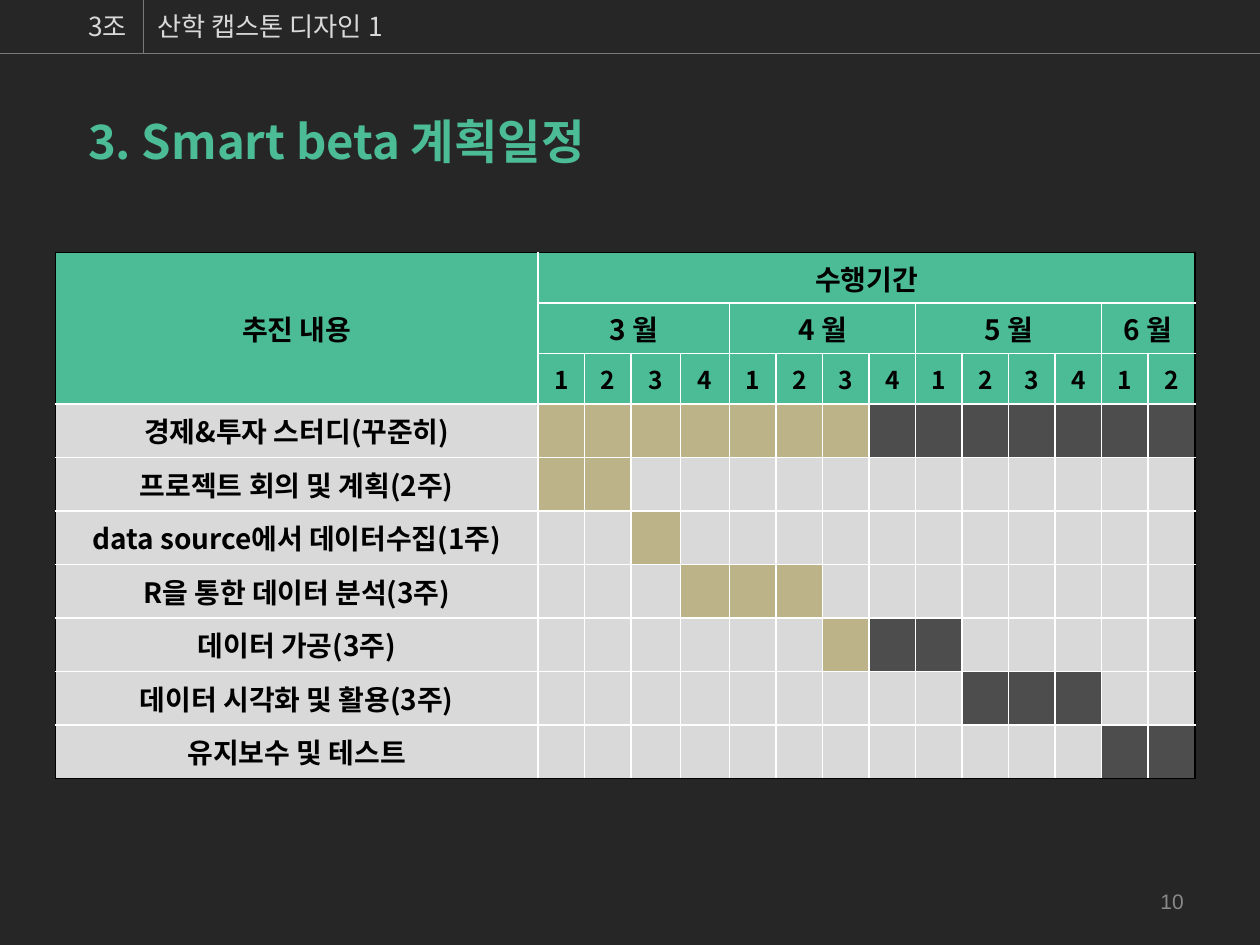
from dataclasses import dataclass

from lxml.etree import SubElement
from pptx import Presentation
from pptx.dml.color import RGBColor
from pptx.enum.shapes import MSO_CONNECTOR as Connector
from pptx.enum.text import MSO_ANCHOR as Anchor, PP_ALIGN as Align
from pptx.oxml import parse_xml
from pptx.oxml.ns import nsdecls, qn
from pptx.util import Pt


@dataclass(frozen=True)
class Theme:
    background: str = "262626"
    accent: str = "4CBC97"
    header_text: str = "D9D9D9"
    rule: str = "797979"
    page_number: str = "898989"
    ink: str = "000000"
    grid: str = "FFFFFF"
    idle: str = "D9D9D9"
    done: str = "BCB488"
    planned: str = "4D4D4D"
    font: str = "Noto Sans CJK KR"
    number_font: str = "Arial"
    title_size: float = 27
    label_size: float = 16
    header_size: float = 15
    week_size: float = 14
    number_size: float = 12


MONTHS = [("3 월", 4), ("4 월", 4), ("5 월", 4), ("6 월", 2)]
WEEK_COUNT = sum(weeks for _, weeks in MONTHS)
HEADER_ROWS = 3
FIRST_PLANNED_WEEK = 8
# Task, first week, last week
TASKS = [
    ("경제&투자 스터디(꾸준히)", 1, 14),
    ("프로젝트 회의 및 계획(2주)", 1, 2),
    ("data source에서 데이터수집(1주)", 3, 3),
    ("R을 통한 데이터 분석(3주)", 4, 6),
    ("데이터 가공(3주)", 7, 9),
    ("데이터 시각화 및 활용(3주)", 10, 12),
    ("유지보수 및 테스트", 13, 14),
]
TASK_WIDTH, WEEK_WIDTH, WIDE_WEEK_WIDTH = 275.8, 26.6, 28.1
WIDE_WEEKS = (3, 4)
HEADER_HEIGHT, TASK_HEIGHT = 28.8, 30.6


class SlideBuilder:
    def __init__(self, slide, theme):
        self.slide = slide
        self.theme = theme
        fill = slide.background.fill
        fill.solid()
        fill.fore_color.rgb = RGBColor.from_string(theme.background)

    def run(self, paragraph, text, size, color, bold=False, font=None):
        run = paragraph.add_run()
        run.text = text
        run.font.size = Pt(size)
        run.font.bold = bold
        run.font.color.rgb = RGBColor.from_string(color)
        run.font.name = font or self.theme.font
        SubElement(run.font._element, qn("a:ea"), typeface=run.font.name)

    def text(self, box, text, size, color, align=Align.LEFT,
             anchor=Anchor.TOP, **style):
        frame = self.slide.shapes.add_textbox(*map(Pt, box)).text_frame
        frame.word_wrap = True
        frame.vertical_anchor = anchor
        paragraph = frame.paragraphs[0]
        paragraph.alignment = align
        self.run(paragraph, text, size, color, **style)

    def line(self, x1, y1, x2, y2):
        line = self.slide.shapes.add_connector(
            Connector.STRAIGHT, *map(Pt, (x1, y1, x2, y2)))
        line.line.width = Pt(0.75)
        line.line.color.rgb = RGBColor.from_string(self.theme.rule)
        SubElement(line._element.spPr, qn("a:effectLst"))

    def cell(self, cell, fill, text="", size=None):
        cell.fill.solid()
        cell.fill.fore_color.rgb = RGBColor.from_string(fill)
        cell.vertical_anchor = Anchor.MIDDLE
        cell.margin_left = cell.margin_right = Pt(1.4)
        cell.margin_top = cell.margin_bottom = Pt(1.4)
        if text:
            paragraph = cell.text_frame.paragraphs[0]
            paragraph.alignment = Align.CENTER
            self.run(paragraph, text, size or self.theme.label_size,
                     self.theme.ink, bold=True)

    def borders(self, table):
        """Draw light grid lines inside the table and a dark outer frame."""
        row_count, column_count = len(table.rows), len(table.columns)
        for row in range(row_count):
            for column in range(column_count):
                cell = table.cell(row, column)
                properties = cell._tc.get_or_add_tcPr()
                right = column + (cell.span_width if cell.is_merge_origin else 1)
                on_frame = {"L": column == 0, "R": right == column_count,
                            "T": row == 0, "B": row == row_count - 1}
                for index, (side, outer) in enumerate(on_frame.items()):
                    color = self.theme.ink if outer else self.theme.grid
                    properties.insert(index, parse_xml(
                        f'<a:ln{side} {nsdecls("a")} w="{Pt(1)}"><a:solidFill>'
                        f'<a:srgbClr val="{color}"/></a:solidFill></a:ln{side}>'))

    def schedule(self, left, top):
        theme = self.theme
        widths = [TASK_WIDTH] + [
            WIDE_WEEK_WIDTH if week in WIDE_WEEKS else WEEK_WIDTH
            for week in range(1, WEEK_COUNT + 1)]
        heights = [HEADER_HEIGHT] * HEADER_ROWS + [TASK_HEIGHT] * len(TASKS)
        table = self.slide.shapes.add_table(
            len(heights), len(widths), Pt(left), Pt(top),
            Pt(sum(widths)), Pt(sum(heights))).table
        table.first_row = table.horz_banding = False
        for column, width in zip(table.columns, widths):
            column.width = Pt(width)
        for row, height in zip(table.rows, heights):
            row.height = Pt(height)

        for row in range(HEADER_ROWS):
            for column in range(len(widths)):
                self.cell(table.cell(row, column), theme.accent)
        table.cell(0, 0).merge(table.cell(HEADER_ROWS - 1, 0))
        self.cell(table.cell(0, 0), theme.accent, "추진 내용")
        table.cell(0, 1).merge(table.cell(0, WEEK_COUNT))
        self.cell(table.cell(0, 1), theme.accent, "수행기간")
        start = 1
        for month, weeks in MONTHS:
            table.cell(1, start).merge(table.cell(1, start + weeks - 1))
            self.cell(table.cell(1, start), theme.accent, month)
            for week in range(weeks):
                self.cell(table.cell(2, start + week), theme.accent,
                          str(week + 1), theme.week_size)
            start += weeks

        for row, (task, first, last) in enumerate(TASKS, HEADER_ROWS):
            self.cell(table.cell(row, 0), theme.idle, task)
            for week in range(1, WEEK_COUNT + 1):
                if not first <= week <= last:
                    fill = theme.idle
                elif week < FIRST_PLANNED_WEEK:
                    fill = theme.done
                else:
                    fill = theme.planned
                self.cell(table.cell(row, week), fill)
        self.borders(table)


def main():
    presentation = Presentation()
    presentation.slide_width, presentation.slide_height = Pt(720), Pt(540)
    theme = Theme()
    builder = SlideBuilder(
        presentation.slides.add_slide(presentation.slide_layouts[6]), theme)

    builder.schedule(31.7, 144.4)
    builder.line(0, 30.6, 720, 30.6)
    builder.line(82, 0, 82, 30.6)
    builder.text((43.2, 2.2, 51, 25.2), "3조",
                 theme.header_size, theme.header_text)
    builder.text((82.8, 2.6, 272, 24.5), "산학 캡스톤 디자인 1",
                 theme.header_size, theme.header_text)
    builder.text((43.2, 60.5, 430.6, 39.6), "3. Smart beta 계획일정",
                 theme.title_size, theme.accent, bold=True)
    builder.text((515.5, 500.4, 168, 28.8), "10", theme.number_size,
                 theme.page_number, Align.RIGHT, Anchor.MIDDLE,
                 font=theme.number_font)
    presentation.save("out.pptx")


if __name__ == "__main__":
    main()
